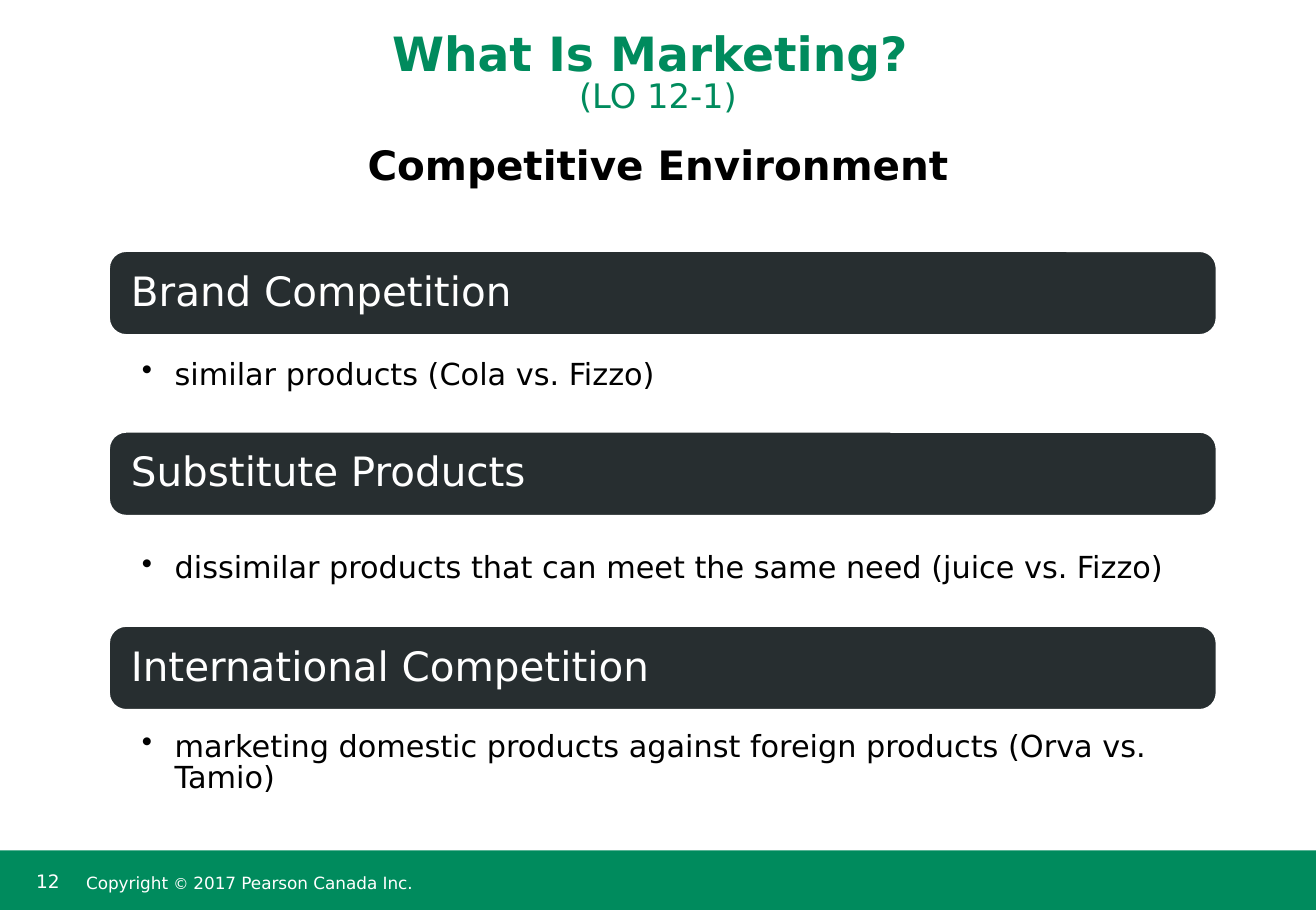
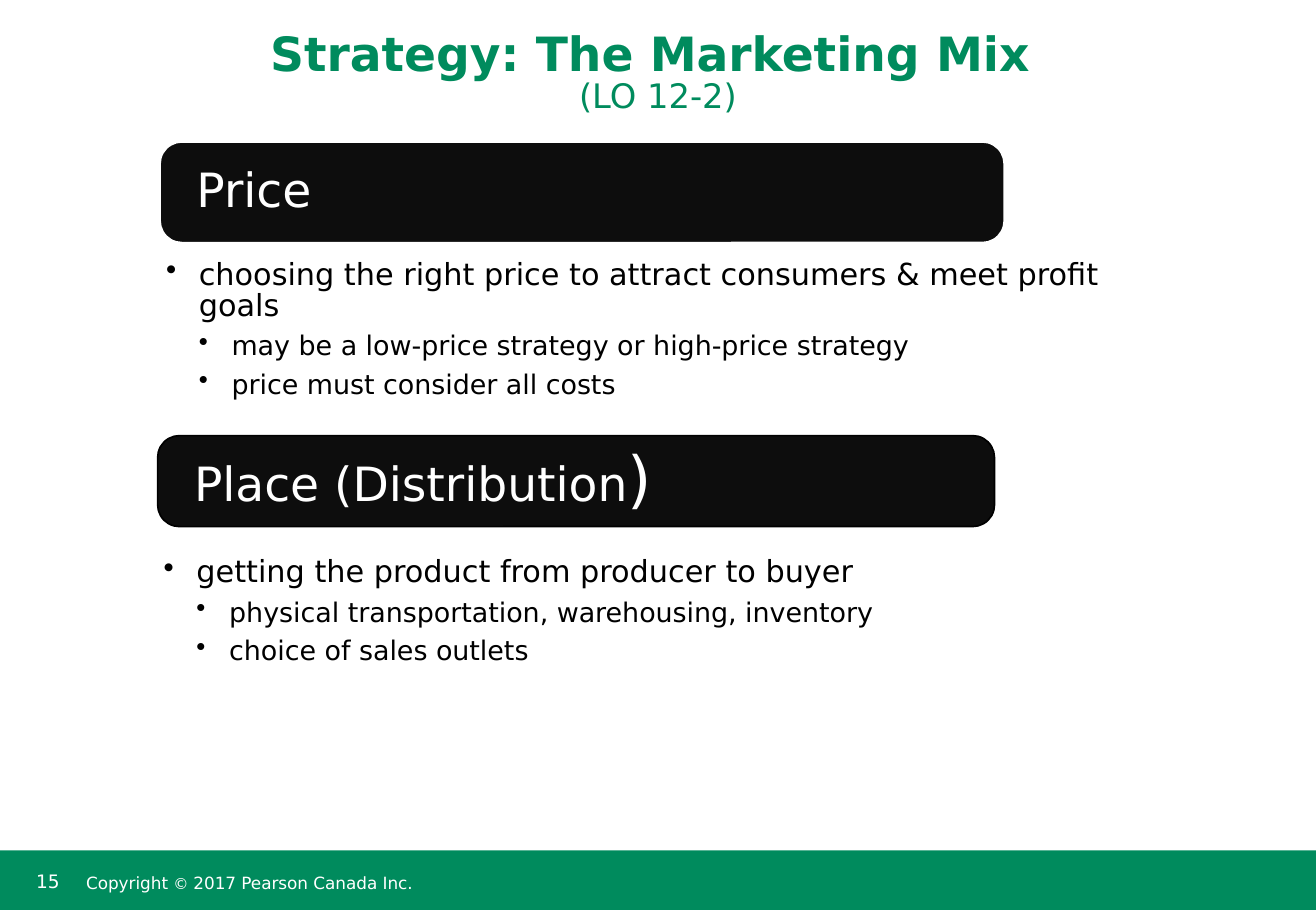
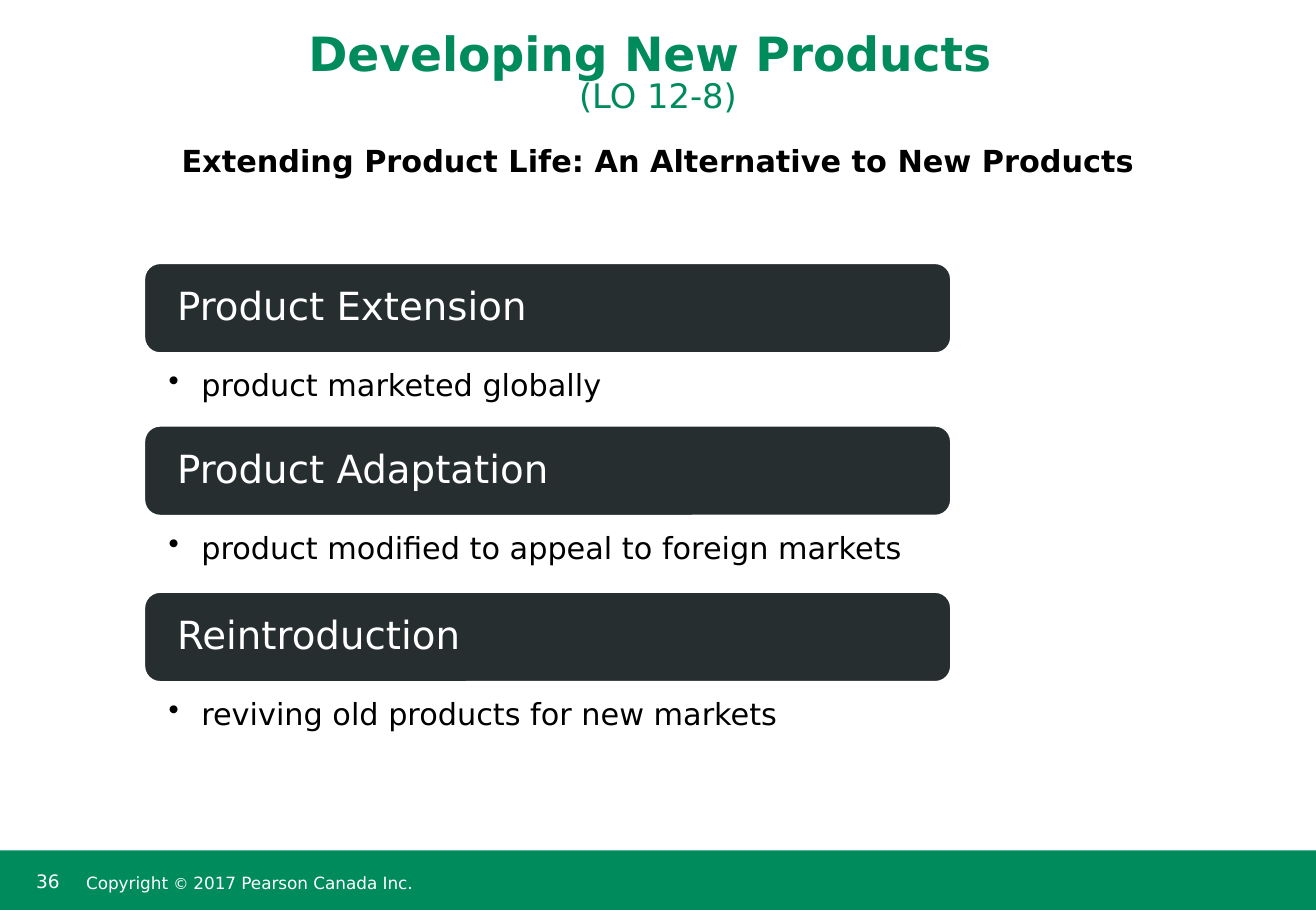
from lxml.etree import SubElement
from pptx import Presentation
from pptx.dml.color import RGBColor
from pptx.enum.shapes import MSO_SHAPE
from pptx.enum.text import MSO_ANCHOR, MSO_AUTO_SIZE, PP_ALIGN
from pptx.oxml.ns import qn
from pptx.util import Inches, Pt

GREEN = RGBColor(0x00, 0x8B, 0x5D)
SLATE = RGBColor(0x27, 0x2E, 0x30)
INK = RGBColor(0x0D, 0x0D, 0x0D)
BLACK = RGBColor(0x00, 0x00, 0x00)
WHITE = RGBColor(0xFF, 0xFF, 0xFF)

COLUMNS, ROWS = 108.5, 75  # square grid cells
CELL = Inches(0.1)
TEXT_SHARE = 0.29  # part of a corner radius that a rounded box adds to its inset
HANG = 2.7  # bullet indent in columns


def cells(count):
    return round(count * CELL)


class Deck:
    """Holds the shared style and the current page."""

    font_name = "DejaVu Sans"
    body_format = {"line_spacing": 0.85, "space_after": Pt(6.5)}
    bar_format = {"line_spacing": 0.9}
    bullet_sizes = {1: 18, 2: 16}

    def __init__(self):
        self.file = Presentation()
        self.file.slide_width = cells(COLUMNS)
        self.file.slide_height = cells(ROWS)
        self.page = None

    def frame(self, box, insets=(1, 0.5, 1, 0.5), anchor=MSO_ANCHOR.TOP):
        """Set wrapping, anchor and insets (left, top, right, bottom)."""
        frame = box.text_frame
        left, top, right, bottom = map(cells, insets)
        settings = {
            "word_wrap": True, "auto_size": MSO_AUTO_SIZE.NONE,
            "vertical_anchor": anchor, "margin_left": left, "margin_top": top,
            "margin_right": right, "margin_bottom": bottom,
        }
        for name, value in settings.items():
            setattr(frame, name, value)
        return frame

    def fill_para(self, para, spans, color, format_values, align=PP_ALIGN.LEFT):
        """Fill a paragraph with spans of (text, size, bold)."""
        for name, value in {**format_values, "alignment": align}.items():
            setattr(para, name, value)
        for text, size, bold in spans:
            if text == "\n":
                para.add_line_break()
                continue
            span = para.add_run()
            span.text = text
            values = {"name": self.font_name, "size": Pt(size), "bold": bold}
            for name, value in values.items():
                setattr(span.font, name, value)
            span.font.color.rgb = color

    def text_box(self, at, **frame_options):
        box = self.page.shapes.add_textbox(*map(cells, at))
        return self.frame(box, **frame_options)

    def shape(self, kind, at, fill, line=None):
        box = self.page.shapes.add_shape(kind, *map(cells, at))
        box.shadow.inherit = False
        box.fill.solid()
        box.fill.fore_color.rgb = fill
        if line is None:
            box.line.fill.background()
        else:
            box.line.color.rgb = line
            box.line.width = Pt(1)
        return box

    def add_page(self, number, title, objective):
        self.page = self.file.slides.add_slide(self.file.slide_layouts[5])
        self.footer(number)
        box = self.page.shapes.title
        box.left, box.top, box.width, box.height = map(cells, (0, 0, COLUMNS, 10))
        frame = self.frame(box, anchor=MSO_ANCHOR.BOTTOM)
        spans = [(title + " ", 28, True), ("\n", 28, True), (objective, 20, False)]
        self.fill_para(frame.paragraphs[0], spans, GREEN, self.body_format,
                       PP_ALIGN.CENTER)

    def footer(self, number):
        self.shape(MSO_SHAPE.RECTANGLE, (0, 70.1, COLUMNS, 5), GREEN)
        frame = self.text_box((2, 71.2, 4.7, 3.2))
        self.fill_para(frame.paragraphs[0], [(str(number), 11, False)], WHITE, {})
        frame = self.text_box((6.6, 70.1, 57.8, 5), insets=(0.5, 1, 0.5, 0.5),
                              anchor=MSO_ANCHOR.MIDDLE)
        spans = [("Copyright ", 10, False), ("© ", 9, False),
                 ("2017 Pearson Canada Inc.", 10, False)]
        self.fill_para(frame.paragraphs[0], spans, WHITE, {"line_spacing": 0.85})

    def heading(self, text, size):
        frame = self.text_box((4.5, 11.7, 99.5, 6.7))
        self.fill_para(frame.paragraphs[0], [(text, size, True)], BLACK,
                       self.body_format, PP_ALIGN.CENTER)

    def bar(self, at, spans, fill, radius, inset, line=WHITE):
        """Rounded bar whose text starts inset columns from its left side."""
        box = self.shape(MSO_SHAPE.ROUNDED_RECTANGLE, at, fill, line)
        box.adjustments[0] = radius / at[3]
        side = inset - radius * TEXT_SHARE
        frame = self.frame(box, (side, 0, side, 0), MSO_ANCHOR.MIDDLE)
        self.fill_para(frame.paragraphs[0],
                       [(text, size, False) for text, size in spans],
                       WHITE, self.bar_format)

    def bullets(self, at, items, insets, anchor=MSO_ANCHOR.TOP):
        """Bulleted list of (level, text) items."""
        frame = self.text_box(at, insets=insets, anchor=anchor)
        for index, (level, text) in enumerate(items):
            para = frame.add_paragraph() if index else frame.paragraphs[0]
            para.level = level
            properties = para._p.get_or_add_pPr()
            properties.set("marL", str(cells(HANG * level)))
            properties.set("indent", str(-cells(HANG)))
            color = SubElement(properties, qn("a:buClr"))
            SubElement(color, qn("a:srgbClr")).set("val", str(BLACK))
            SubElement(properties, qn("a:buChar")).set("char", "•")
            self.fill_para(para, [(text, self.bullet_sizes[level], False)], BLACK,
                           self.body_format)


def competition_page(deck):
    deck.add_page(12, "What Is Marketing?", "(LO 12-1)")
    deck.heading("Competitive Environment", 24)
    # bar row, list row, list height
    kinds = [
        (20.7, 27.9, 6.2, "Brand Competition", "similar products (Cola vs. Fizzo)"),
        (35.6, 42.5, 8.9, "Substitute Products",
         "dissimilar products that can meet the same need (juice vs. Fizzo)"),
        (51.6, 58.5, 8.9, "International Competition",
         "marketing domestic products against foreign products (Orva vs. Tamio)"),
    ]
    for bar_row, list_row, list_rows, name, meaning in kinds:
        deck.bar((9, bar_row, 91.3, 6.9), [(name, 24)], SLATE, radius=1.4, inset=1.8)
        deck.bullets((9, list_row, 91.3, list_rows), [(1, meaning)],
                     (2.7, 0.5, 2.6, 0.5), MSO_ANCHOR.MIDDLE)


def marketing_mix_page(deck):
    deck.add_page(15, "Strategy: The Marketing Mix", "(LO 12-2)")
    # bar place, bar line, bar text, list place, list top inset, items
    parts = [
        ((13.2, 11.7, 69.6, 8.3), WHITE, [("Price", 28)],
         (6.6, 13.3, 95.4, 22.5), 8.2, [
             (1, "choosing the right price to attract consumers & meet profit goals"),
             (2, "may be a low-price strategy or high-price strategy"),
             (2, "price must consider all costs")]),
        ((13, 35.9, 69, 7.5), BLACK, [("Place (Distribution", 28), (")", 37)],
         (6.4, 37.6, 96.4, 21.2), 8.4, [
             (1, "getting the product from producer to buyer"),
             (2, "physical transportation, warehousing, inventory"),
             (2, "choice of sales outlets")]),
    ]
    for bar_at, line, spans, list_at, top, items in parts:
        deck.bullets(list_at, items, (7.1, top, 7.1, 2.8))
        deck.bar(bar_at, spans, INK, radius=1.8, inset=3, line=line)


def product_life_page(deck):
    deck.add_page(36, "Developing New Products", "(LO 12-8)")
    deck.heading("Extending Product Life: An Alternative to New Products", 18)
    strategies = [
        (21.7, "Product Extension", "product marketed globally"),
        (35.1, "Product Adaptation", "product modified to appeal to foreign markets"),
        (48.8, "Reintroduction", "reviving old products for new markets"),
    ]
    for row, name, meaning in strategies:
        deck.bullets((7.1, row + 3.75, 94.9, 10.5), [(1, meaning)], (6.8, 5.2, 6.8, 1.8))
        deck.bar((11.9, row, 66.5, 7.4), [(name, 23)], SLATE, radius=1.3, inset=2.7)


def main():
    deck = Deck()
    competition_page(deck)
    marketing_mix_page(deck)
    product_life_page(deck)
    deck.file.save("out.pptx")


if __name__ == "__main__":
    main()
